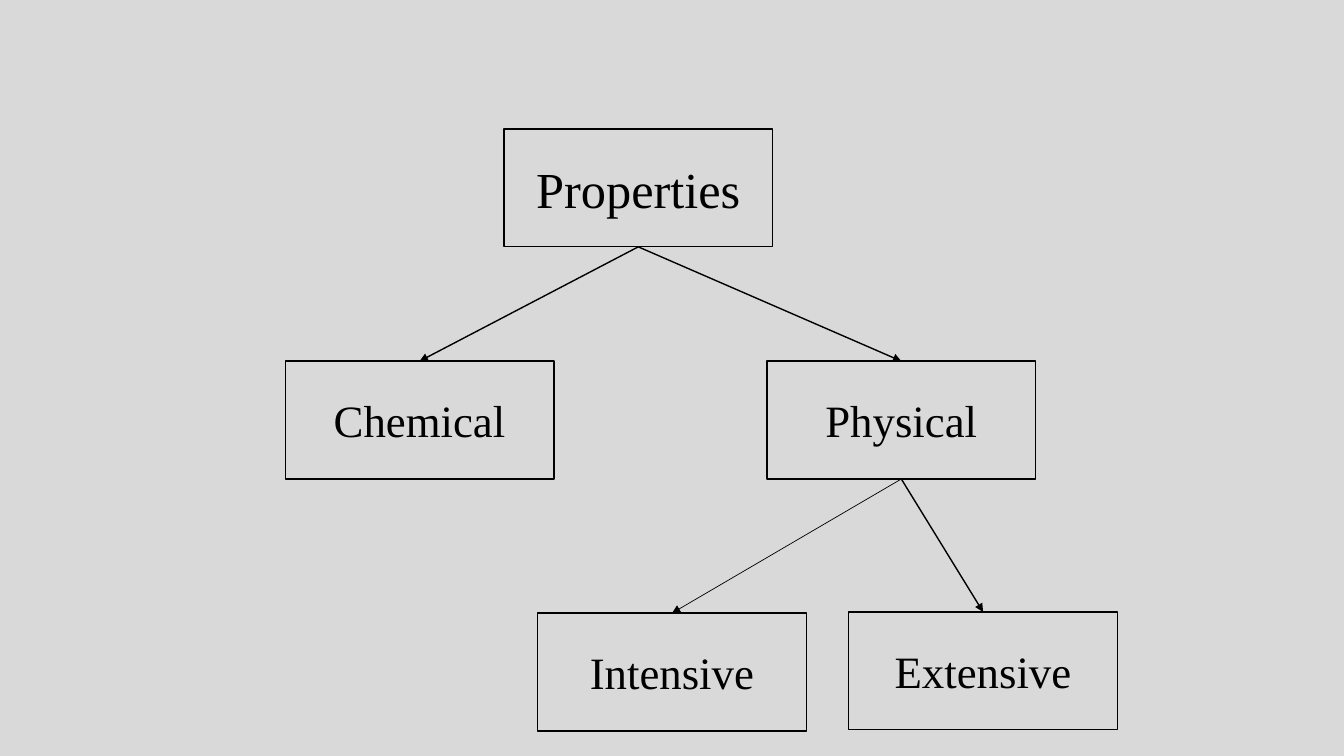
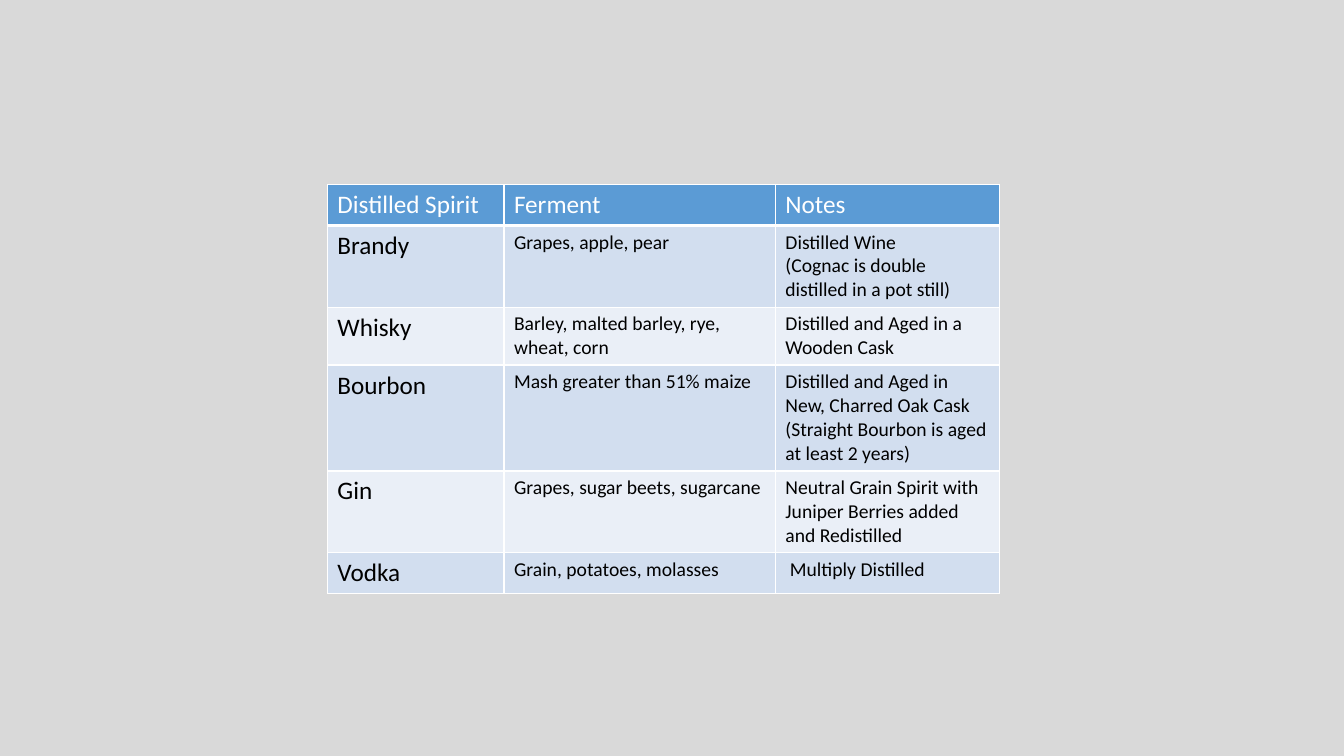
from lxml import etree
from pptx import Presentation
from pptx.dml.color import RGBColor
from pptx.enum.shapes import MSO_CONNECTOR, MSO_SHAPE
from pptx.enum.text import MSO_ANCHOR, PP_ALIGN
from pptx.oxml.ns import qn
from pptx.util import Cm, Pt

STRAIGHT = MSO_CONNECTOR.STRAIGHT
RECTANGLE = MSO_SHAPE.RECTANGLE
MIDDLE = MSO_ANCHOR.MIDDLE
CENTER = PP_ALIGN.CENTER
TOP_SIDE, BOTTOM_SIDE = 0, 2

BACKGROUND, BLACK, WHITE = "D9D9D9", "000000", "FFFFFF"
HEADER, BANDS = "5B9BD5", ("D2DEEF", "EAEFF7")
BOX_WIDTH, BOX_HEIGHT = Cm(6.77), Cm(2.97)

ROOT_LABEL = {"name": "Times New Roman", "size": Pt(36)}
LABEL = {"name": "Times New Roman", "size": Pt(32)}
HEADING = {"name": "Calibri", "size": Pt(18), "bold": False}
DETAIL = {"name": "Calibri", "size": Pt(14), "bold": False}

PROPERTIES = {
    "Properties": (12.7, 3.25, ROOT_LABEL),
    "Chemical": (7.19, 9.1, LABEL),
    "Physical": (19.33, 9.1, LABEL),
    "Intensive": (13.55, 15.45, LABEL),
    "Extensive": (21.39, 15.42, LABEL),
}
BRANCHES = [
    ("Properties", "Chemical", 1),
    ("Properties", "Physical", 1),
    ("Physical", "Intensive", 0.5),
    ("Physical", "Extensive", 1),
]
SPIRITS = [
    ("Distilled Spirit", "Ferment", "Notes"),
    ("Brandy", "Grapes, apple, pear",
     "Distilled Wine\n(Cognac is double distilled in a pot still)"),
    ("Whisky", "Barley, malted barley, rye, wheat, corn",
     "Distilled and Aged in a Wooden Cask"),
    ("Bourbon", "Mash greater than 51% maize",
     "Distilled and Aged in New, Charred Oak Cask\n"
     "(Straight Bourbon is aged at least 2 years)"),
    ("Gin", "Grapes, sugar beets, sugarcane",
     "Neutral Grain Spirit with Juniper Berries added and Redistilled"),
    ("Vodka", "Grain, potatoes, molasses", " Multiply Distilled"),
]
COLUMN_WIDTHS = (4.45, 6.84, 5.65)
ROW_HEIGHTS = (1.03, 2.06, 1.45, 2.67, 2.06, 1.03)


def rgb(color):
    return RGBColor.from_string(color)


class Deck:
    """Holds the shared style and the slide being built."""

    def __init__(self):
        self.presentation = Presentation()
        self.presentation.slide_width = Cm(33.87)
        self.presentation.slide_height = Cm(19.05)
        fill = self.presentation.slide_master.background.fill
        fill.solid()
        fill.fore_color.rgb = rgb(BACKGROUND)
        self.slide = None

    def new_slide(self):
        blank = self.presentation.slide_layouts[6]
        self.slide = self.presentation.slides.add_slide(blank)

    def set_text(self, frame, text, style, color, alignment=None):
        frame.text = text
        for paragraph in frame.paragraphs:
            paragraph.alignment = alignment
            for name, value in style.items():
                setattr(paragraph.font, name, value)
            paragraph.font.color.rgb = rgb(color)

    def box(self, label, left, top, style):
        box = self.slide.shapes.add_shape(
            RECTANGLE, Cm(left), Cm(top), BOX_WIDTH, BOX_HEIGHT)
        box.shadow.inherit = False
        box.fill.background()
        box.line.color.rgb = rgb(BLACK)
        box.line.width = Pt(1)
        box.text_frame.vertical_anchor = MIDDLE
        self.set_text(box.text_frame, label, style, BLACK, CENTER)
        return box

    def arrow(self, parent, child, width):
        arrow = self.slide.shapes.add_connector(STRAIGHT, 0, 0, 0, 0)
        arrow.begin_connect(parent, BOTTOM_SIDE)
        arrow.end_connect(child, TOP_SIDE)
        arrow.line.color.rgb = rgb(BLACK)
        arrow.line.width = Pt(width)
        properties = arrow._element.spPr
        line = properties.find(qn("a:ln"))
        etree.SubElement(line, qn("a:tailEnd"), type="triangle")
        etree.SubElement(properties, qn("a:effectLst"))

    def cell_borders(self, cell, bottom_width):
        properties = cell._tc.get_or_add_tcPr()
        widths = {"lnL": 1, "lnR": 1, "lnT": 1, "lnB": bottom_width}
        for position, (side, width) in enumerate(widths.items()):
            line = etree.Element(qn(f"a:{side}"), w=str(Pt(width)))
            fill = etree.SubElement(line, qn("a:solidFill"))
            etree.SubElement(fill, qn("a:srgbClr"), val=WHITE)
            properties.insert(position, line)

    def table(self, rows, left, top, widths, heights):
        table = self.slide.shapes.add_table(
            len(rows), len(widths), Cm(left), Cm(top),
            Cm(sum(widths)), Cm(sum(heights))).table
        table.horz_banding = False
        for column, width in zip(table.columns, widths):
            column.width = Cm(width)
        for index, (row, height) in enumerate(zip(table.rows, heights)):
            row.height = Cm(height)
            is_header = index == 0
            band = HEADER if is_header else BANDS[(index - 1) % 2]
            for number, cell in enumerate(row.cells):
                style = HEADING if is_header or number == 0 else DETAIL
                color = WHITE if is_header else BLACK
                self.set_text(cell.text_frame, rows[index][number], style, color)
                cell.fill.solid()
                cell.fill.fore_color.rgb = rgb(band)
                self.cell_borders(cell, 3 if is_header else 1)

    def save(self):
        self.presentation.save("out.pptx")


def main():
    deck = Deck()

    deck.new_slide()
    boxes = {label: deck.box(label, *place)
             for label, place in PROPERTIES.items()}
    for parent, child, width in BRANCHES:
        deck.arrow(boxes[parent], boxes[child], width)

    deck.new_slide()
    deck.table(SPIRITS, 8.25, 4.65, COLUMN_WIDTHS, ROW_HEIGHTS)

    deck.save()


if __name__ == "__main__":
    main()
